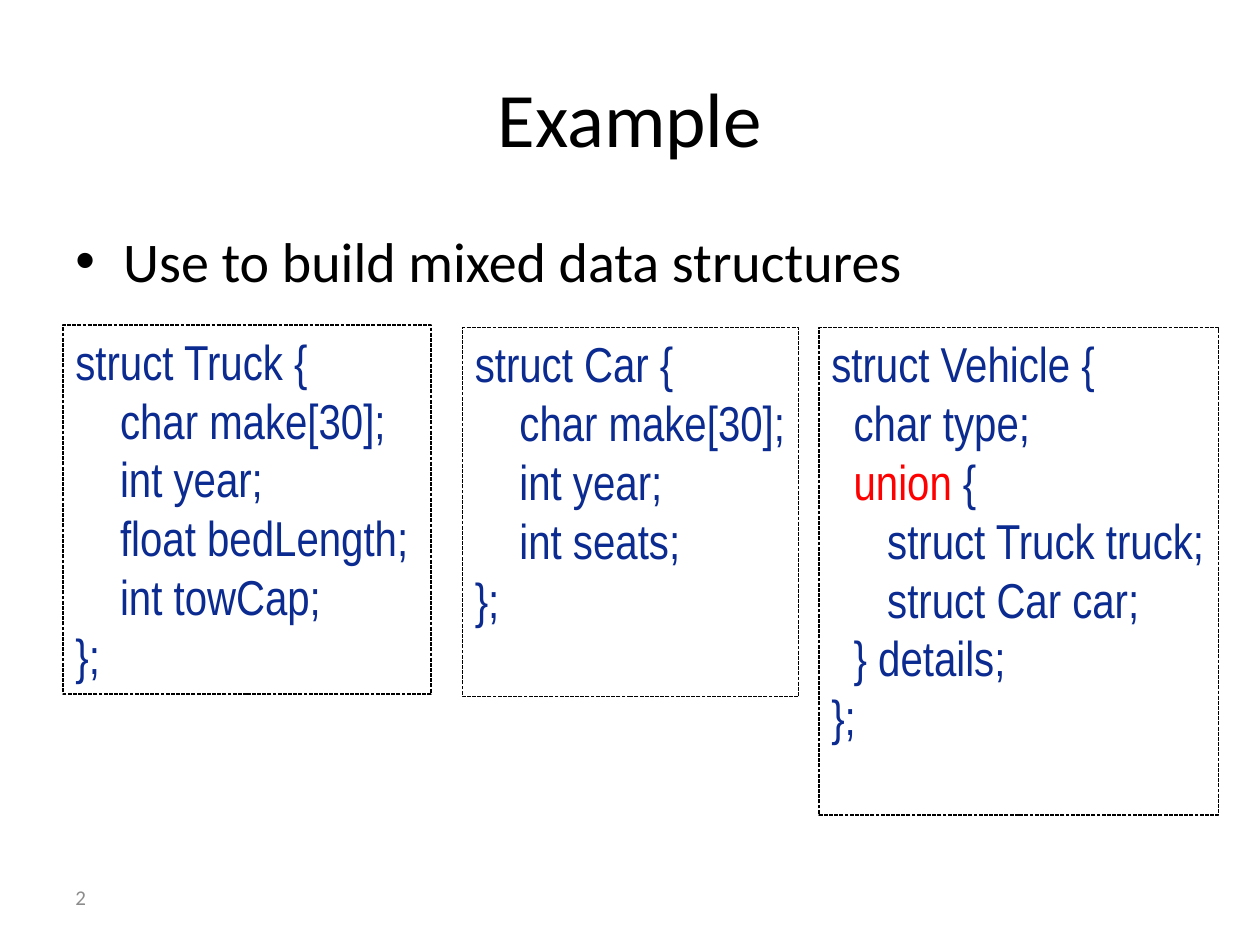
"""Build the slide showing a union inside mixed data structures."""
from dataclasses import dataclass

from lxml import etree
from pptx import Presentation
from pptx.dml.color import RGBColor
from pptx.enum import dml, shapes, text
from pptx.oxml import ns
from pptx.slide import Slide
from pptx.text.text import Font, TextFrame
from pptx.util import Inches, Pt


@dataclass(frozen=True)
class Theme:
    heading_font: str = "Calibri"
    code_font: str = "Arial Narrow"
    ink: str = "000000"
    code: str = "0B2B91"
    keyword: str = "FF0000"
    muted: str = "8C8C8C"
    title_size: int = 44
    body_size: int = 32
    code_size: int = 28
    number_size: int = 12
    border_width: float = 0.75


@dataclass(frozen=True)
class Box:
    left: float
    top: float
    width: float
    height: float

    def lengths(self) -> tuple[int, ...]:
        return tuple(map(Inches, (self.left, self.top, self.width, self.height)))


@dataclass(frozen=True)
class Listing:
    box: Box
    code: str
    keyword: str = ""


THEME = Theme()

LISTINGS = (
    Listing(Box(0.5, 2.58, 2.92, 2.93), """struct Truck {
    char make[30];
    int year;
    float bedLength;
    int towCap;
};"""),
    Listing(Box(3.67, 2.6, 2.67, 2.93), """struct Car {
    char make[30];
    int year;
    int seats;
};"""),
    Listing(Box(6.5, 2.6, 3.17, 3.87), """struct Vehicle {
  char type;
  union {
     struct Truck truck;
     struct Car car;
  } details;
};""", keyword="union"),
)


def style(font: Font, name: str, size: int, color: str) -> None:
    font.name = name
    font.size = Pt(size)
    font.color.rgb = RGBColor.from_string(color)


def add_label(slide: Slide, box: Box, wording: str, size: int, color: str,
              anchor: text.MSO_ANCHOR = text.MSO_ANCHOR.MIDDLE,
              align: text.PP_ALIGN = text.PP_ALIGN.LEFT,
              bullet: str = "") -> None:
    frame: TextFrame = slide.shapes.add_textbox(*box.lengths()).text_frame
    frame.word_wrap = True
    frame.vertical_anchor = anchor
    paragraph = frame.paragraphs[0]
    paragraph.text = wording
    paragraph.alignment = align
    if bullet:
        properties = paragraph._p.get_or_add_pPr()
        properties.set("marL", str(Inches(0.38)))
        properties.set("indent", str(Inches(-0.38)))
        etree.SubElement(properties, ns.qn("a:buFont"), typeface="Arial")
        etree.SubElement(properties, ns.qn("a:buChar"), char=bullet)
    style(paragraph.font, THEME.heading_font, size, color)


def add_listing(slide: Slide, listing: Listing) -> None:
    panel = slide.shapes.add_shape(shapes.MSO_SHAPE.RECTANGLE, *listing.box.lengths())
    panel.shadow.inherit = False
    panel.fill.background()
    panel.line.color.rgb = RGBColor.from_string(THEME.ink)
    panel.line.width = Pt(THEME.border_width)
    panel.line.dash_style = dml.MSO_LINE.SQUARE_DOT
    frame = panel.text_frame
    frame.word_wrap = True
    frame.margin_right = Inches(0.05)
    frame.vertical_anchor = text.MSO_ANCHOR.TOP
    for index, line in enumerate(listing.code.splitlines()):
        paragraph = frame.add_paragraph() if index else frame.paragraphs[0]
        paragraph.alignment = text.PP_ALIGN.LEFT
        style(paragraph.font, THEME.code_font, THEME.code_size, THEME.code)
        pieces = line.partition(listing.keyword) if listing.keyword else (line,)
        for piece in filter(None, pieces):
            run = paragraph.add_run()
            run.text = piece
            color = THEME.keyword if piece == listing.keyword else THEME.code
            style(run.font, THEME.code_font, THEME.code_size, color)


def main() -> None:
    deck = Presentation()
    deck.slide_width, deck.slide_height = Inches(10), Inches(7.5)
    slide = deck.slides.add_slide(deck.slide_layouts[6])
    add_label(slide, Box(0.5, 0.3, 9, 1.25), "Example", THEME.title_size, THEME.ink,
              align=text.PP_ALIGN.CENTER)
    add_label(slide, Box(0.5, 1.75, 9, 4.95), "Use to build mixed data structures",
              THEME.body_size, THEME.ink, anchor=text.MSO_ANCHOR.TOP, bullet="•")
    add_label(slide, Box(0.5, 6.92, 2.33, 0.4), "2", THEME.number_size, THEME.muted)
    for listing in LISTINGS:
        add_listing(slide, listing)
    deck.save("out.pptx")


if __name__ == "__main__":
    main()
